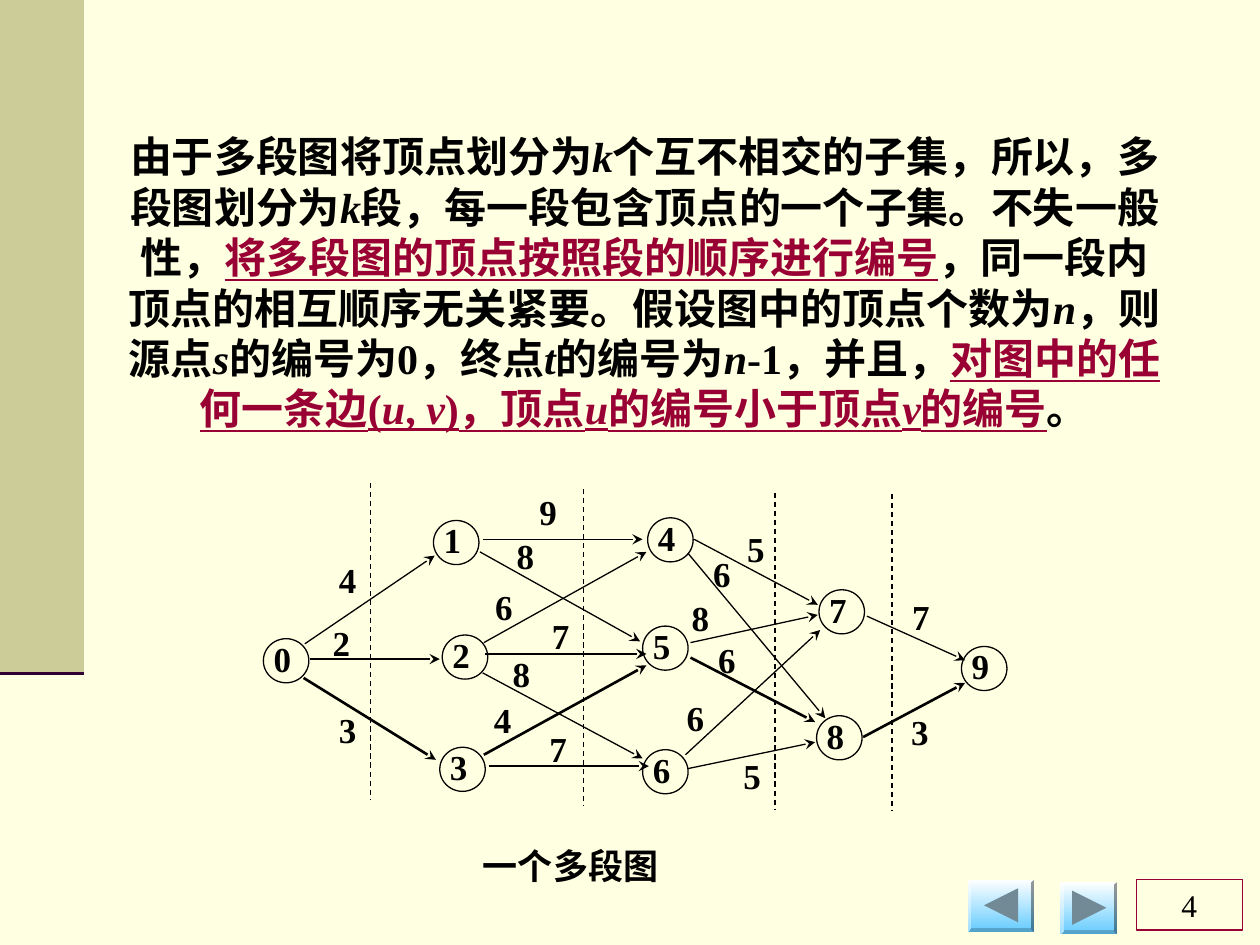
"""Build the slide on numbering the vertices of a multistage graph."""
import pptx
import pptx.util
import pptx.dml.color
import pptx.enum.dml
import pptx.enum.shapes
import pptx.enum.text
import pptx.oxml.ns
import lxml.etree

Pt = pptx.util.Pt
RGBColor = pptx.dml.color.RGBColor
SHAPE = pptx.enum.shapes.MSO_SHAPE
ALIGN = pptx.enum.text.PP_ALIGN
ANCHOR = pptx.enum.text.MSO_ANCHOR
qn = pptx.oxml.ns.qn

CREAM = RGBColor(0xFF, 0xFF, 0xE1)
KHAKI = RGBColor(0xCC, 0xCC, 0x99)
PLUM = RGBColor(0x33, 0x00, 0x33)
CRIMSON = RGBColor(0x99, 0x00, 0x33)
BLACK = RGBColor(0x00, 0x00, 0x00)
WHITE = RGBColor(0xFF, 0xFF, 0xFF)
SKY = RGBColor(0x66, 0xCC, 0xFF)
SLATE = RGBColor(0x72, 0x8A, 0x96)


def write(shape, spans, size, align, margins, anchor=ANCHOR.TOP, spacing=None, bold=True):
    frame = shape.text_frame
    frame.word_wrap = True
    frame.vertical_anchor = anchor
    frame.margin_left, frame.margin_top, frame.margin_right, frame.margin_bottom = map(Pt, margins)
    para = frame.paragraphs[0]
    para.alignment = align
    para.line_spacing = spacing
    for text, italic, marked in spans:
        span = para.add_run()
        span.text = text
        span.font.name = "Times New Roman"
        span.font.size = Pt(size)
        span.font.bold = bold
        span.font.italic = italic
        span.font.underline = marked
        span.font.color.rgb = CRIMSON if marked else BLACK


def draw_line(x1, y1, x2, y2, color, width, arrow=False, dashed=False):
    line = page.shapes.add_connector(
        pptx.enum.shapes.MSO_CONNECTOR.STRAIGHT, Pt(x1), Pt(y1), Pt(x2), Pt(y2))
    line.line.color.rgb = color
    line.line.width = Pt(width)
    if dashed:
        line.line.dash_style = pptx.enum.dml.MSO_LINE.DASH
    properties = line.element.spPr
    if arrow:
        lxml.etree.SubElement(properties.find(qn("a:ln")), qn("a:tailEnd"), type="stealth")
    lxml.etree.SubElement(properties, qn("a:effectLst"))


deck = pptx.Presentation()
deck.slide_width = Pt(720)
deck.slide_height = Pt(540)
page = deck.slides.add_slide(deck.slide_layouts[6])
page.background.fill.solid()
page.background.fill.fore_color.rgb = CREAM

draw_line(0, 384, 48, 384, PLUM, 3.5)
band = page.shapes.add_shape(SHAPE.RECTANGLE, 0, 0, Pt(48), Pt(384))
band.shadow.inherit = False
band.fill.solid()
band.fill.fore_color.rgb = KHAKI
band.line.fill.background()

for left, top, width, icon_left, icon_top, turn in [
    (553, 502.6, 38, 562.3, 507.6, 270),
    (606, 504, 32.4, 612.7, 509, 90),
]:
    button = page.shapes.add_shape(SHAPE.BEVEL, Pt(left), Pt(top), Pt(width), Pt(29.7))
    button.adjustments[0] = 0.06
    button.fill.gradient()
    button.fill.gradient_angle = 270
    for stop, color, position in zip(button.fill.gradient_stops, (WHITE, SKY), (0, 1)):
        stop.color.rgb = color
        stop.position = position
    icon = page.shapes.add_shape(
        SHAPE.ISOSCELES_TRIANGLE, Pt(icon_left), Pt(icon_top), Pt(19.5), Pt(19.5))
    icon.rotation = turn
    icon.fill.solid()
    icon.fill.fore_color.rgb = SLATE
    for part in (button, icon):
        part.shadow.inherit = False
        part.line.fill.background()

number_box = page.shapes.add_shape(SHAPE.RECTANGLE, Pt(649.4), Pt(502.6), Pt(60.5), Pt(28.8))
number_box.shadow.inherit = False
number_box.fill.background()
number_box.line.color.rgb = CRIMSON
number_box.line.width = Pt(0.75)
write(number_box, [("4", False, False)], 18, ALIGN.CENTER, (7.2, 3.6, 7.2, 3.6),
      anchor=ANCHOR.MIDDLE, bold=False)

vertices = [
    (150.5, 365), (247.7, 297.4), (252.7, 362.9), (251.3, 427), (370.1, 295.9),
    (367.2, 357.8), (367.2, 428.4), (468, 337), (466.6, 409), (549.4, 369.4),
]
for index, (left, top) in enumerate(vertices):
    vertex = page.shapes.add_shape(SHAPE.OVAL, Pt(left), Pt(top), Pt(26), Pt(25.2))
    vertex.shadow.inherit = False
    vertex.fill.background()
    vertex.line.color.rgb = BLACK
    vertex.line.width = Pt(0.75)
    write(vertex, [(str(index), False, False)], 20, ALIGN.JUSTIFY, (2, 0, 0, 0), spacing=0.8)

THIN, THICK = 0.75, 1.5
edges = [
    (174.2, 367.9, 248.4, 317.5, THIN, "4", 193.7, 324),
    (177.1, 376.6, 251.3, 376.6, THIN, "2", 190.1, 360),
    (173.5, 387.4, 249.1, 434.2, THICK, "3", 193.7, 409.7),
    (275.8, 308.2, 367.2, 308.2, THIN, "9", 308.2, 285.1),
    (274.3, 315.4, 365.8, 366.5, THIN, "8", 295.2, 310.3),
    (276.5, 367.2, 369.4, 315.4, THIN, "6", 283, 339.1),
    (277.2, 373.7, 369.4, 373.7, THIN, "7", 315.4, 355.7),
    (275.8, 384.5, 367.2, 433.4, THIN, "8", 293, 377.3),
    (276.5, 431.3, 369.4, 380.2, THICK, "4", 282.2, 403.9),
    (279.4, 437.8, 370.8, 437.8, THIN, "7", 313.9, 420.5),
    (396.7, 308.2, 467.3, 345.6, THIN, "5", 427, 306),
    (393.1, 316.1, 471.6, 410.4, THIN, "6", 407.5, 320.4),
    (394.6, 367.2, 467.3, 351.4, THIN, "8", 395.3, 345.6),
    (394.6, 375.8, 465.8, 412.6, THICK, "6", 410.4, 369.4),
    (391.7, 431.3, 468.7, 360, THIN, "6", 392.4, 402.5),
    (393.1, 439.2, 465.8, 424.1, THIN, "5", 424.8, 435.6),
    (495.4, 352.1, 551.5, 377.3, THIN, "7", 521.3, 344.9),
    (493.2, 421.2, 551.5, 390.2, THICK, "3", 520.6, 410.4),
]
for x1, y1, x2, y2, width, cost, left, top in edges:
    draw_line(x1, y1, x2, y2, BLACK, width, arrow=True)
    label = page.shapes.add_textbox(Pt(left), Pt(top), Pt(14.4), Pt(16.6))
    write(label, [(cost, False, False)], 20, ALIGN.JUSTIFY, (0, 0, 0, 0), spacing=0.8)

for x, top in [(211.7, 275.8), (333.4, 279.4), (442.8, 281.5), (509.8, 282.2)]:
    draw_line(x, top, x, top + 181.4, BLACK, THIN, dashed=True)

caption = page.shapes.add_textbox(Pt(276), Pt(487.4), Pt(189), Pt(19.4))
write(caption, [("一个多段图", False, False)], 20, ALIGN.JUSTIFY, (0, 0, 0, 0), spacing=0.8)

body = page.shapes.add_textbox(Pt(64.8), Pt(71.3), Pt(607), Pt(208.8))
write(body, [
    ("由于多段图将顶点划分为", False, False),
    ("k", True, False),
    ("个互不相交的子集，所以，多段图划分为", False, False),
    ("k", True, False),
    ("段，每一段包含顶点的一个子集。不失一般性，", False, False),
    ("将多段图的顶点按照段的顺序进行编号", False, True),
    ("，同一段内顶点的相互顺序无关紧要。假设图中的顶点个数为", False, False),
    ("n", True, False),
    ("，则源点", False, False),
    ("s", True, False),
    ("的编号为0，终点", False, False),
    ("t", True, False),
    ("的编号为", False, False),
    ("n", True, False),
    ("-1，并且，", False, False),
    ("对图中的任何一条边(", False, True),
    ("u", True, True),
    (", ", False, True),
    ("v", True, True),
    (")，顶点", False, True),
    ("u", True, True),
    ("的编号小于顶点", False, True),
    ("v", True, True),
    ("的编号", False, True),
    ("。", False, False),
], 24, ALIGN.CENTER, (7.2, 3.6, 7.2, 3.6))

deck.save("out.pptx")
